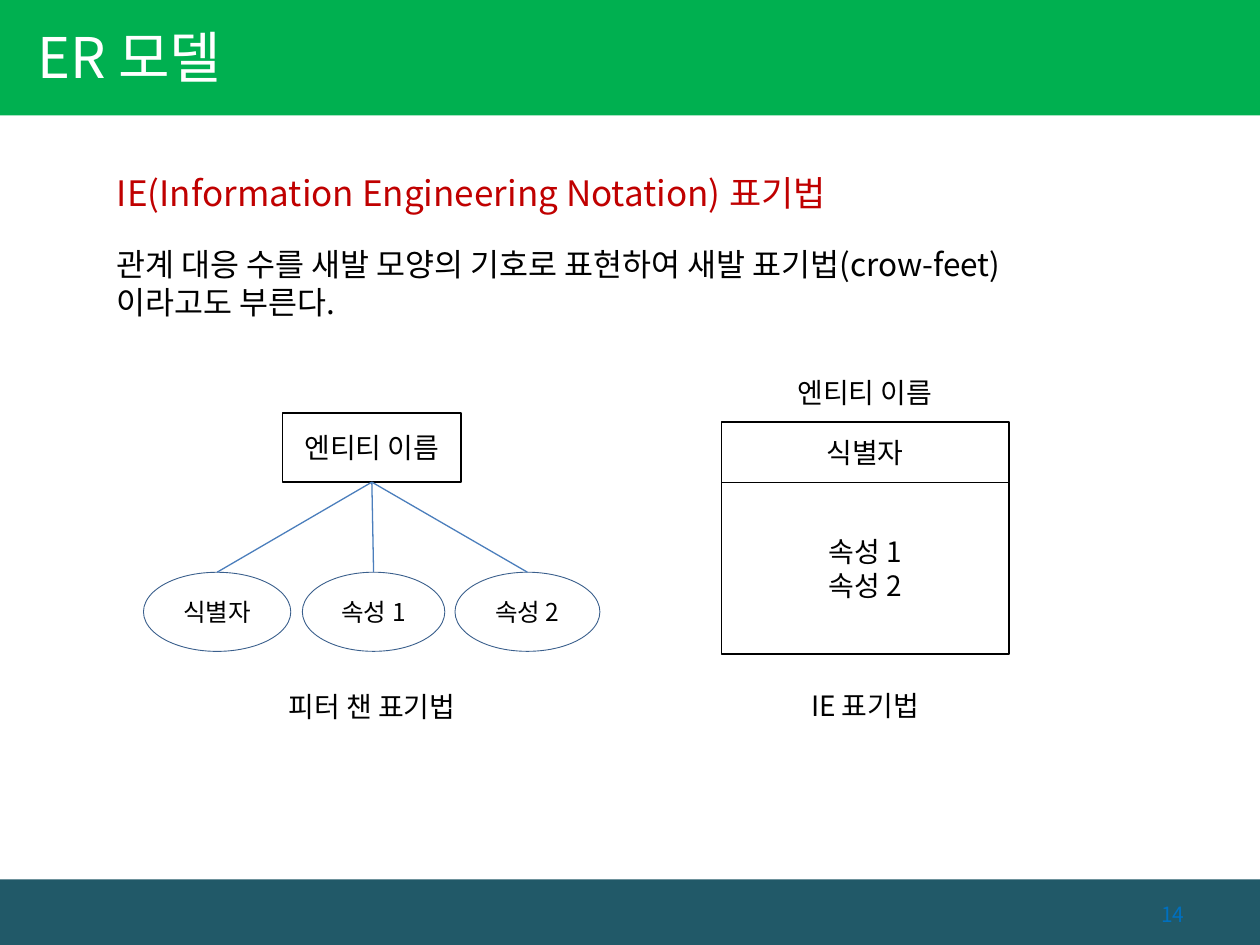
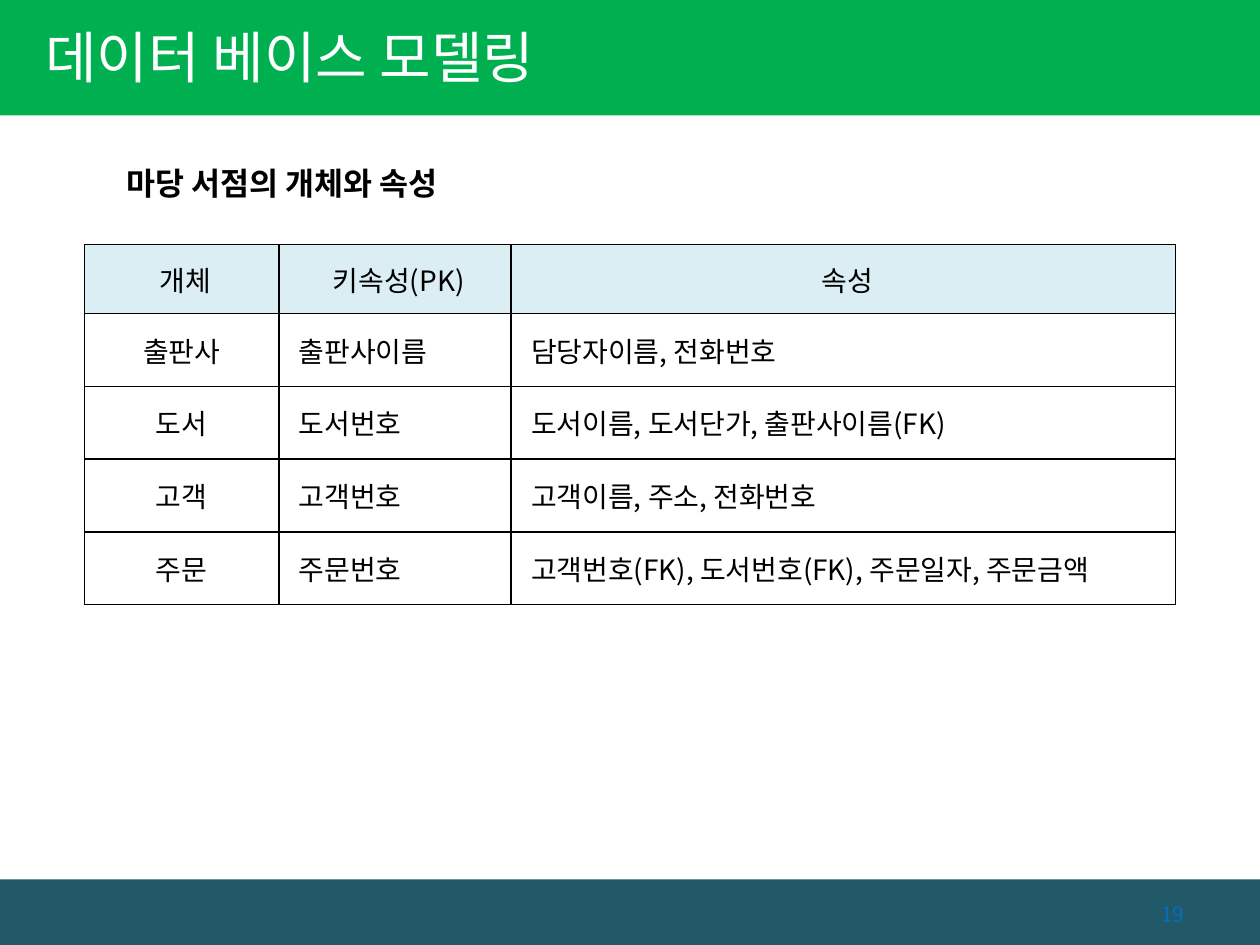
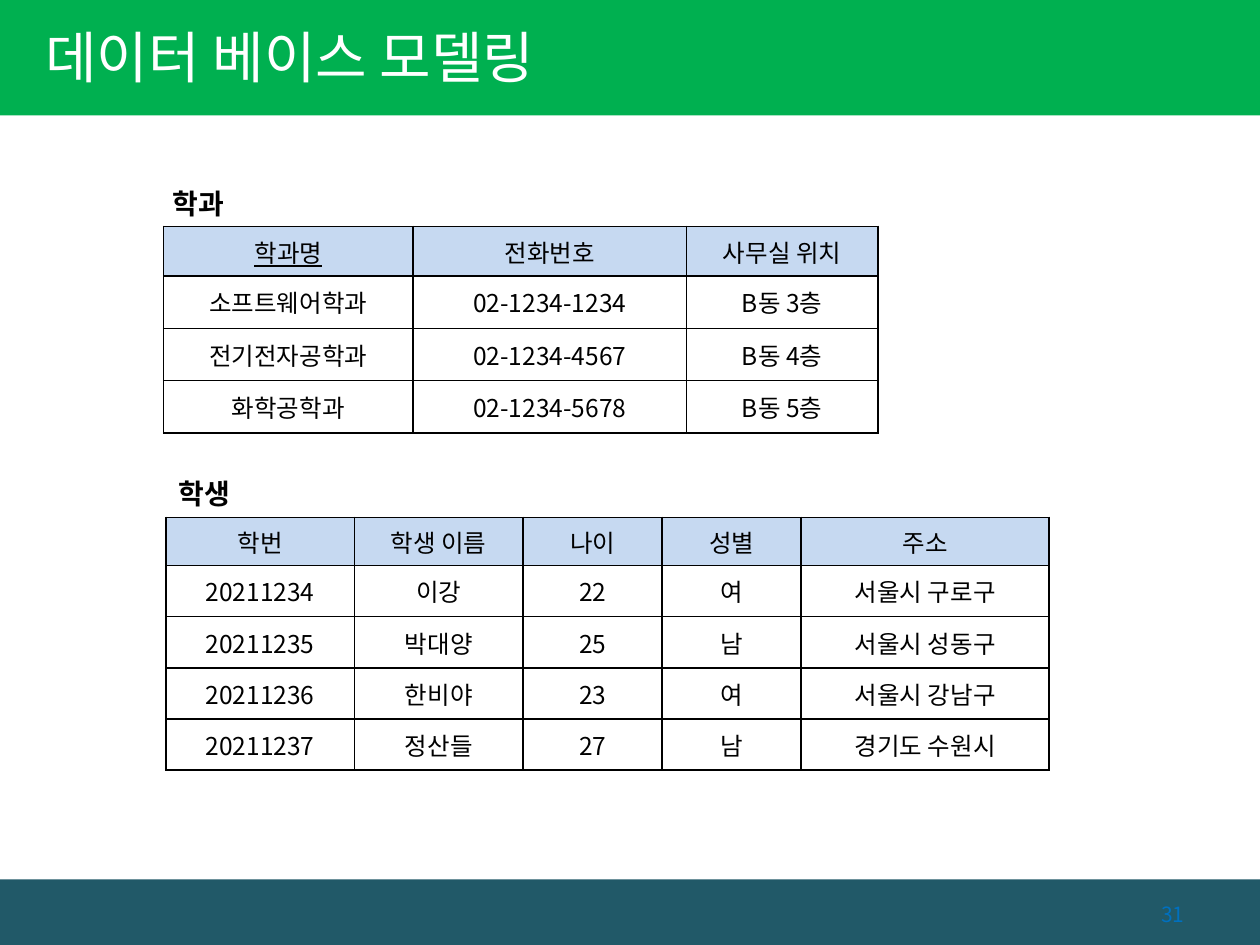
from pptx import Presentation
from pptx.dml.color import RGBColor
from pptx.enum.shapes import MSO_CONNECTOR, MSO_SHAPE
from pptx.enum.text import MSO_ANCHOR, PP_ALIGN
from pptx.oxml.ns import qn
from pptx.util import Pt
from lxml import etree

RECT = MSO_SHAPE.RECTANGLE
OVAL = MSO_SHAPE.OVAL
STRAIGHT = MSO_CONNECTOR.STRAIGHT
LEFT, MID, RIGHT = PP_ALIGN.LEFT, PP_ALIGN.CENTER, PP_ALIGN.RIGHT
TOP, CENTER = MSO_ANCHOR.TOP, MSO_ANCHOR.MIDDLE

FONT = "Noto Sans CJK KR"
WIDE, HIGH = 720, 540
HUES = {
    "black": "000000",
    "white": "FFFFFF",
    "green": "00B050",
    "teal": "215968",
    "blue": "0070C0",
    "red": "C00000",
    "rim": "3A5F8C",
    "link": "4B7EBC",
    "aqua": "DBEEF4",
    "sky": "C6D9F1",
}


def hue(name):
    return RGBColor.from_string(HUES[name])


def style(frame, size, color="black", align=LEFT, bold=False):
    for para in frame.paragraphs:
        para.alignment = align
        for run in para.runs:
            font = run.font
            font.name = FONT
            font.size = Pt(size)
            font.bold = bold
            font.color.rgb = hue(color)
            font._element.set("kern", "0")
            east = etree.SubElement(font._element, qn("a:ea"))
            east.set("typeface", FONT)


def label(slide, box, text, size, color="black", align=LEFT, bold=False,
          anchor=TOP, inset=7.2):
    frame = slide.shapes.add_textbox(*map(Pt, box)).text_frame
    frame.word_wrap = True
    frame.vertical_anchor = anchor
    frame.margin_left = Pt(inset)
    frame.text = text
    style(frame, size, color, align, bold)


def block(slide, kind, box, fill=None, line=None, width=1, text="", size=16):
    shape = slide.shapes.add_shape(kind, *map(Pt, box))
    shape.shadow.inherit = False
    if fill:
        shape.fill.solid()
        shape.fill.fore_color.rgb = hue(fill)
    else:
        shape.fill.background()
    if line:
        shape.line.color.rgb = hue(line)
        shape.line.width = Pt(width)
    else:
        shape.line.fill.background()
    if text:
        frame = shape.text_frame
        frame.text = text
        frame.vertical_anchor = CENTER
        style(frame, size, align=MID)
    return shape


def link(slide, start, end):
    line = slide.shapes.add_connector(STRAIGHT, 0, 0, 0, 0)
    line.begin_connect(start, 2)
    line.end_connect(end, 0)
    line.line.color.rgb = hue("link")
    line.line.width = Pt(0.75)
    etree.SubElement(line._element.spPr, qn("a:effectLst"))


def border(cell):
    props = cell._tc.get_or_add_tcPr()
    for side in ("lnL", "lnR", "lnT", "lnB"):
        line = etree.SubElement(props, qn(f"a:{side}"), w=str(Pt(1)))
        fill = etree.SubElement(line, qn("a:solidFill"))
        etree.SubElement(fill, qn("a:srgbClr"), val=HUES["black"])


def grid(slide, left, top, cols, head, body, rows, size, fill, listed=False):
    high = head + body * (len(rows) - 1)
    box = map(Pt, (left, top, sum(cols), high))
    table = slide.shapes.add_table(len(rows), len(cols), *box).table
    table.first_row = table.horz_banding = False
    for col, width in zip(table.columns, cols):
        col.width = Pt(width)
    for i, row in enumerate(rows):
        table.rows[i].height = Pt(body if i else head)
        for j, text in enumerate(row):
            cell = table.cell(i, j)
            border(cell)
            if i:
                cell.fill.background()
            else:
                cell.fill.solid()
                cell.fill.fore_color.rgb = hue(fill)
            cell.vertical_anchor = CENTER
            if listed and (i == 0 or j):
                cell.margin_left = Pt(11.4)
            cell.text_frame.text = text
            align = LEFT if listed and i and j else MID
            style(cell.text_frame, size, align=align)
    return table


def page(deck, title, number, inset):
    slide = deck.slides.add_slide(deck.slide_layouts[6])
    block(slide, RECT, (0, 502.5, WIDE, 37.5), "teal")
    block(slide, RECT, (0, 0, WIDE, 66), "green")
    label(slide, (0, -1.5, 451, 67.5), title, 32, "white",
          anchor=CENTER, inset=inset)
    label(slide, (516, 508.5, 168, 28), str(number), 12, "blue", RIGHT,
          anchor=CENTER)
    return slide


def model(deck):
    slide = page(deck, "ER 모델", 14, 21.2)
    label(slide, (59.7, 94.3, 442, 31.7),
          "IE(Information Engineering Notation) 표기법", 20, "red")
    label(slide, (59.7, 136.3, 585, 51),
          "관계 대응 수를 새발 모양의 기호로 표현하여 "
          "새발 표기법(crow-feet)이라고도 부른다.", 18)
    name = block(slide, RECT, (161.5, 236, 102, 39.5), line="black",
                 text="엔티티 이름")
    ovals = (("식별자", 82, 84.2), ("속성 1", 172.8, 81.4),
             ("속성 2", 260, 82.8))
    for text, left, width in ovals:
        oval = block(slide, OVAL, (left, 327, width, 45.2), line="rim",
                     width=0.5, text=text, size=14)
        link(slide, name, oval)
    for text, top, high in (("식별자", 241.3, 34.4),
                            ("속성 1\n속성 2", 275.7, 98)):
        block(slide, RECT, (412.3, top, 164.2, high), line="black", text=text)
    for text, left, top in (("피터 챈 표기법", 144.5, 390.7),
                            ("엔티티 이름", 426.3, 211),
                            ("IE 표기법", 426.3, 389.8)):
        label(slide, (left, top, 136, 26.6), text, 16, align=MID)


def store(deck):
    slide = page(deck, "데이터 베이스 모델링", 19, 26)
    label(slide, (65.2, 90, 255, 29), "마당 서점의 개체와 속성", 18, bold=True)
    rows = (
        ("개체", "키속성(PK)", "속성"),
        ("출판사", "출판사이름", "담당자이름, 전화번호"),
        ("도서", "도서번호", "도서이름, 도서단가, 출판사이름(FK)"),
        ("고객", "고객번호", "고객이름, 주소, 전화번호"),
        ("주문", "주문번호", "고객번호(FK), 도서번호(FK), 주문일자, 주문금액"),
    )
    grid(slide, 48.2, 139.7, (111.2, 132.8, 379.6), 39.5, 41.6, rows, 16,
         "aqua", True)


def school(deck):
    slide = page(deck, "데이터 베이스 모델링", 31, 26)
    pupils = (
        ("학번", "학생 이름", "나이", "성별", "주소"),
        ("20211234", "이강", "22", "여", "서울시 구로구"),
        ("20211235", "박대양", "25", "남", "서울시 성동구"),
        ("20211236", "한비야", "23", "여", "서울시 강남구"),
        ("20211237", "정산들", "27", "남", "경기도 수원시"),
    )
    grid(slide, 94.8, 295.7, (107.7, 96.5, 79.4, 79.4, 141.8), 27.5, 29.25,
         pupils, 14, "sky")
    units = (
        ("학과명", "전화번호", "사무실 위치"),
        ("소프트웨어학과", "02-1234-1234", "B동 3층"),
        ("전기전자공학과", "02-1234-4567", "B동 4층"),
        ("화학공학과", "02-1234-5678", "B동 5층"),
    )
    table = grid(slide, 93.5, 129.4, (142.6, 156.2, 109.4), 28.4, 29.85,
                 units, 14, "sky")
    key = table.cell(0, 0).text_frame.paragraphs[0].runs[0]
    key.font.underline = True
    for text, left, top in (("학과", 91.5, 103), ("학생", 95, 269)):
        label(slide, (left, top, 54, 26.6), text, 16, bold=True)


def main():
    deck = Presentation()
    deck.slide_width, deck.slide_height = Pt(WIDE), Pt(HIGH)
    model(deck)
    store(deck)
    school(deck)
    deck.save("out.pptx")


if __name__ == "__main__":
    main()
